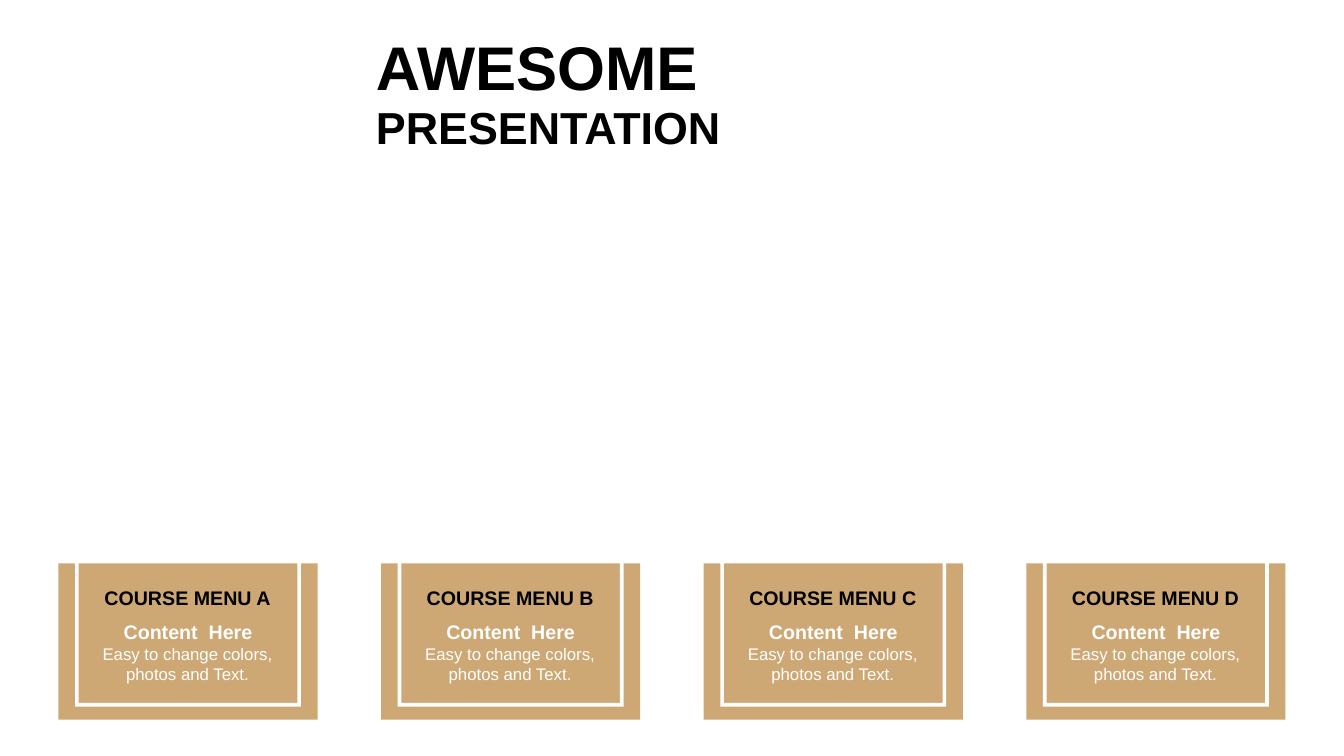
"""Build a title slide with a row of four framed course menu cards."""
from pptx import Presentation
from pptx.dml.color import RGBColor
from pptx.enum.shapes import MSO_SHAPE
from pptx.enum.text import MSO_ANCHOR, MSO_AUTO_SIZE, PP_ALIGN
from pptx.util import Inches, Pt

TAN = RGBColor(0xCD, 0xA8, 0x74)
BLACK = RGBColor(0, 0, 0)
WHITE = RGBColor(255, 255, 255)
FONT = "Arial"

SLIDE_WIDTH, SLIDE_HEIGHT = 13.33, 7.5
TITLES = [
    ("AWESOME", 44, 0.23, 0.84),
    ("PRESENTATION", 32, 0.94, 0.64),
]
MENUS = [
    ("COURSE MENU A", "Content  Here", "Easy to change colors, photos and Text."),
    ("COURSE MENU B", "Content  Here", "Easy to change colors, photos and Text."),
    ("COURSE MENU C", "Content  Here", "Easy to change colors, photos and Text."),
    ("COURSE MENU D", "Content  Here", "Easy to change colors, photos and Text."),
]
TITLE_LEFT, TITLE_WIDTH = 3.63, 6.08
FIRST_LEFT, COLUMN_STEP = 0.58, 3.2
CARD_TOP, CARD_WIDTH, CARD_HEIGHT = 5.59, 2.57, 1.55
FRAME_TOP, FRAME_WIDTH, FRAME_HEIGHT = 2.09, 2.24, 4.92
FRAME_THICKNESS = 0.016


def add_block(shapes, kind, left, top, width, height, color):
    block = shapes.add_shape(
        kind, Inches(left), Inches(top), Inches(width), Inches(height))
    block.shadow.inherit = False
    block.fill.solid()
    block.fill.fore_color.rgb = color
    block.line.fill.background()
    return block


def add_text(shapes, text, left, top, width, height, size=14, color=BLACK,
             bold=True, align=PP_ALIGN.CENTER, anchor=MSO_ANCHOR.MIDDLE):
    box = shapes.add_textbox(
        Inches(left), Inches(top), Inches(width), Inches(height))
    frame = box.text_frame
    frame.word_wrap = True
    frame.auto_size = MSO_AUTO_SIZE.SHAPE_TO_FIT_TEXT
    frame.vertical_anchor = anchor
    para = frame.paragraphs[0]
    para.alignment = align
    span = para.add_run()
    span.text = text
    span.font.name = FONT
    span.font.size = Pt(size)
    span.font.bold = bold
    span.font.color.rgb = color


def add_menu(shapes, left, heading, subheading, body):
    add_block(shapes, MSO_SHAPE.RECTANGLE, left, CARD_TOP,
              CARD_WIDTH, CARD_HEIGHT, TAN)
    border = add_block(shapes, MSO_SHAPE.FRAME,
                       left + (CARD_WIDTH - FRAME_WIDTH) / 2, FRAME_TOP,
                       FRAME_WIDTH, FRAME_HEIGHT, WHITE)
    border.adjustments[0] = FRAME_THICKNESS
    add_text(shapes, heading, left + 0.24, 5.76, 2.08, 0.34)
    caption = shapes.add_group_shape().shapes
    add_text(caption, subheading, left + 0.21, 6.1, 2.15, 0.34, color=WHITE)
    add_text(caption, body, left + 0.21, 6.34, 2.14, 0.5, size=12,
             color=WHITE, bold=False, anchor=MSO_ANCHOR.TOP)


def main():
    deck = Presentation()
    deck.slide_width = Inches(SLIDE_WIDTH)
    deck.slide_height = Inches(SLIDE_HEIGHT)
    page = deck.slides.add_slide(deck.slide_layouts[6])
    for column, menu in enumerate(MENUS):
        add_menu(page.shapes, FIRST_LEFT + column * COLUMN_STEP, *menu)
    for text, size, top, height in TITLES:
        add_text(page.shapes, text, TITLE_LEFT, top, TITLE_WIDTH, height,
                 size=size, align=PP_ALIGN.JUSTIFY)
    deck.save("out.pptx")


if __name__ == "__main__":
    main()
